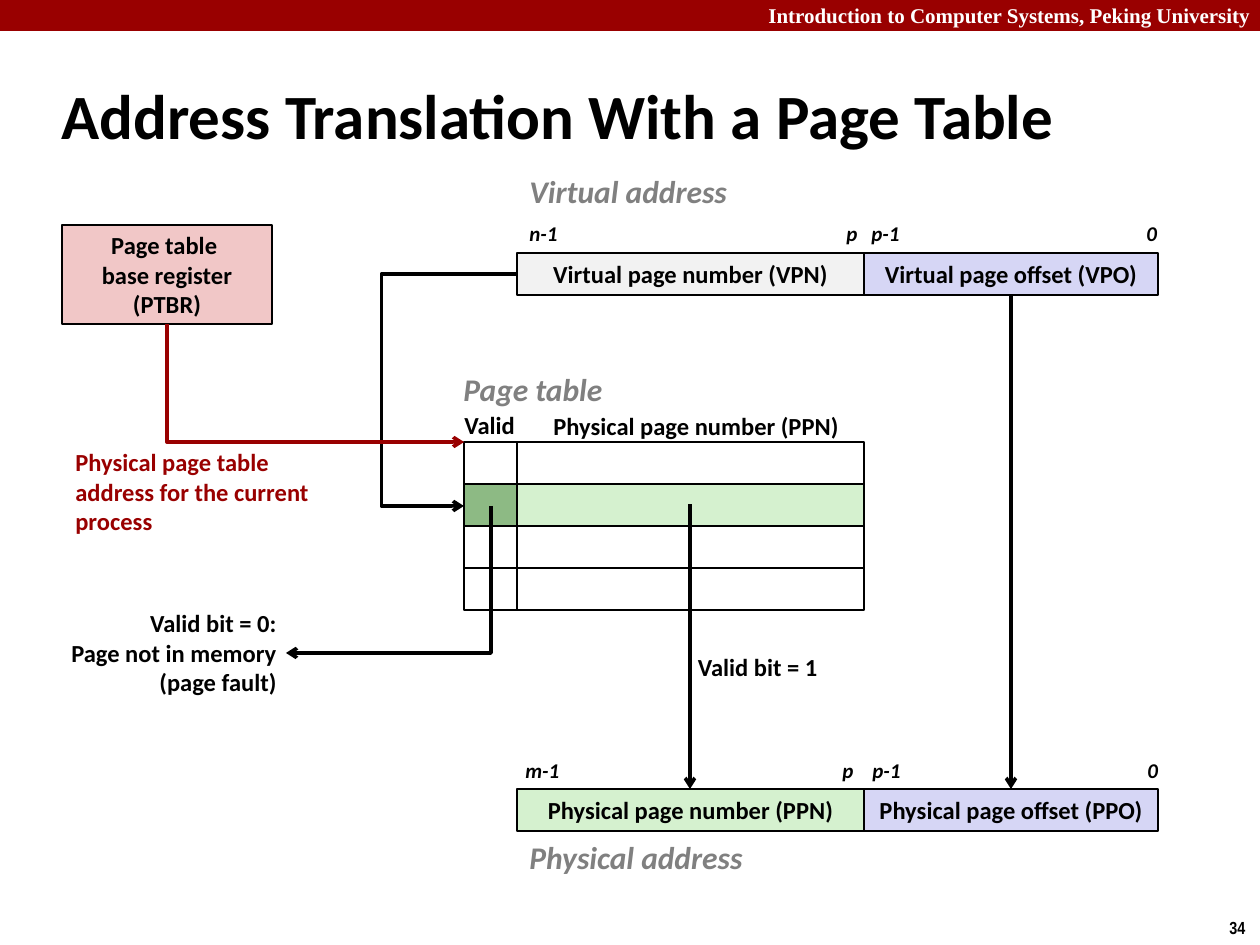
import pptx
import pptx.util
import pptx.dml.color
import pptx.enum.shapes
import pptx.enum.text
import pptx.oxml
import pptx.oxml.ns

PX = 914400 / 126
BLACK, WHITE, RED, GRAY = "000000", "FFFFFF", "990000", "808080"
LILAC, GREEN = "D6D6F5", "D5F1CF"
ALIGN = {
    "l": pptx.enum.text.PP_ALIGN.LEFT,
    "c": pptx.enum.text.PP_ALIGN.CENTER,
    "r": pptx.enum.text.PP_ALIGN.RIGHT,
}
CONNECTOR = pptx.enum.shapes.MSO_CONNECTOR
MIDDLE = pptx.enum.text.MSO_ANCHOR.MIDDLE


def px(*values):
    return [pptx.util.Emu(round(v * PX)) for v in values]


def rgb(color):
    return pptx.dml.color.RGBColor.from_string(color)


def write(sp, text, color=BLACK, align="l", **formats):
    """Fill a shape with one paragraph per line; \\v is a line break."""
    font = {"name": "Calibri", "size": 14, "bold": True, **formats}
    font["size"] = pptx.util.Pt(font["size"])
    tf = sp.text_frame
    for i, line in enumerate(text.split("\n")):
        p = tf.paragraphs[0] if i == 0 else tf.add_paragraph()
        p.text = line
        p.alignment = ALIGN[align]
        for r in p.runs:
            r.font.color.rgb = rgb(color)
            for name, value in font.items():
                setattr(r.font, name, value)


def add_label(s, box, text, wrap=False, **formats):
    sp = s.shapes.add_textbox(*px(*box))
    sp.text_frame.word_wrap = wrap
    write(sp, text, **formats)


def add_box(s, box, fill=None, text="", line=BLACK):
    sp = s.shapes.add_shape(pptx.enum.shapes.MSO_SHAPE.RECTANGLE, *px(*box))
    sp.shadow.inherit = False
    if fill:
        sp.fill.solid()
        sp.fill.fore_color.rgb = rgb(fill)
    else:
        sp.fill.background()
    if line:
        sp.line.color.rgb = rgb(line)
        sp.line.width = pptx.util.Pt(1)
    else:
        sp.line.fill.background()
    if text:
        sp.text_frame.vertical_anchor = MIDDLE
        write(sp, text, align="c")


def add_arrow(s, kind, points, color=BLACK):
    c = s.shapes.add_connector(kind, *px(*points))
    c.line.color.rgb = rgb(color)
    c.line.width = pptx.util.Pt(2)
    ln = c.line._get_or_add_ln()
    pptx.oxml.ns.qn("a:tailEnd")
    ln.append(pptx.oxml.parse_xml(
        '<a:tailEnd %s type="arrow"/>' % pptx.oxml.ns.nsdecls("a")))
    c._element.spPr.append(pptx.oxml.parse_xml(
        "<a:effectLst %s/>" % pptx.oxml.ns.nsdecls("a")))
    return c


def find(c, tag):
    return c._element.spPr.find(pptx.oxml.ns.qn(tag))


def add_side_elbow(s, points, reach):
    """Out sideways, down, and back; reach is the bend in box widths."""
    c = add_arrow(s, CONNECTOR.ELBOW, points)
    guide = '<a:gd %s name="adj1" fmla="val %d"/>'
    find(c, "a:prstGeom").find(pptx.oxml.ns.qn("a:avLst")).append(
        pptx.oxml.parse_xml(
            guide % (pptx.oxml.ns.nsdecls("a"), reach * 100000)))


def add_down_elbow(s, x1, y1, x2, y2, color=BLACK):
    """Down first, then sideways: a single bend turned a quarter."""
    w, h = abs(x2 - x1), y2 - y1
    cx, cy = (x1 + x2) / 2, (y1 + y2) / 2
    points = cx - h / 2, cy - w / 2, cx + h / 2, cy + w / 2
    c = add_arrow(s, CONNECTOR.ELBOW, points, color)
    find(c, "a:prstGeom").set("prst", "bentConnector2")
    xfrm = find(c, "a:xfrm")
    if x2 > x1:
        xfrm.set("rot", str(270 * 60000))
        xfrm.set("flipH", "1")
    else:
        xfrm.set("rot", str(90 * 60000))


def add_address(s, y, number, offset, fill):
    add_box(s, (517, y, 347, 42), fill, number)
    add_box(s, (864, y, 294, 42), LILAC, offset)


def add_bits(s, y, bits):
    for text, x, w in bits:
        add_label(s, (x, y, w, 38), text, size=12, italic=True)


def main():
    prs = pptx.Presentation()
    prs.slide_width, prs.slide_height = px(1260, 945)
    s = prs.slides.add_slide(prs.slide_layouts[5])

    # Header band, title and page number
    add_box(s, (0, 0, 1260, 31), RED, line=None)
    add_label(s, (756, -4, 513, 38),
              "Introduction to Computer Systems, Peking University",
              wrap=True, name="Times New Roman", size=12, color=WHITE)
    add_label(s, (1217, 911, 43, 34), "34", name="Arial Narrow", size=10)
    title = s.shapes.title
    title.left, title.top, title.width, title.height = px(49, 62, 1046, 104)
    title.text_frame.vertical_anchor = MIDDLE
    write(title, "Address Translation With a Page Table", size=36)

    # Virtual and physical addresses
    add_address(s, 253, "Virtual page number (VPN)",
                "Virtual page offset (VPO)", "F2F2F2")
    add_address(s, 789, "Physical page number (PPN)",
                "Physical page offset (PPO)", GREEN)
    add_bits(s, 214, [("n-1", 517, 59), ("p", 834, 41),
                      ("p-1", 859, 59), ("0", 1134, 41)])
    add_bits(s, 751, [("m-1", 513, 64), ("p", 830, 41),
                      ("p-1", 860, 59), ("0", 1135, 41)])

    # Page table with its selected entry
    for row in range(4):
        valid, number = ("8DBA84", GREEN) if row == 1 else (None, None)
        y = 442 + 42 * row
        add_box(s, (517, y, 347, 42), number)
        add_box(s, (464, y, 53, 42), valid)
    add_label(s, (452, 404, 77, 43), "Valid")
    add_label(s, (541, 405, 312, 43), "Physical page number (PPN)")

    # Base register
    add_box(s, (62, 225, 210, 99), "F1C7C7",
            "Page table \vbase register\n(PTBR)")

    # Section headings
    for text, x, y, w in [("Virtual address", 517, 166, 224),
                          ("Physical address", 517, 832, 241),
                          ("Page table ", 451, 364, 179)]:
        add_label(s, (x, y, w, 50), text, wrap=True,
                  size=18, italic=True, color=GRAY)

    # Arrows
    add_side_elbow(s, (517, 274, 464, 506), 2.56)
    add_arrow(s, CONNECTOR.STRAIGHT, (1011, 296, 1011, 789))
    add_arrow(s, CONNECTOR.STRAIGHT, (690, 504, 690, 789))
    add_down_elbow(s, 491, 506, 286, 653)
    add_down_elbow(s, 167, 324, 464, 442, RED)

    # Notes beside the arrows
    add_label(s, (63, 441, 262, 102),
              "Physical page table \naddress for the current\nprocess",
              color=RED)
    add_label(s, (55, 602, 234, 102),
              "Valid bit = 0:\nPage not in memory\n(page fault)", align="r")
    add_label(s, (683, 646, 147, 43), "Valid bit = 1", align="r")

    prs.save("out.pptx")


main()
